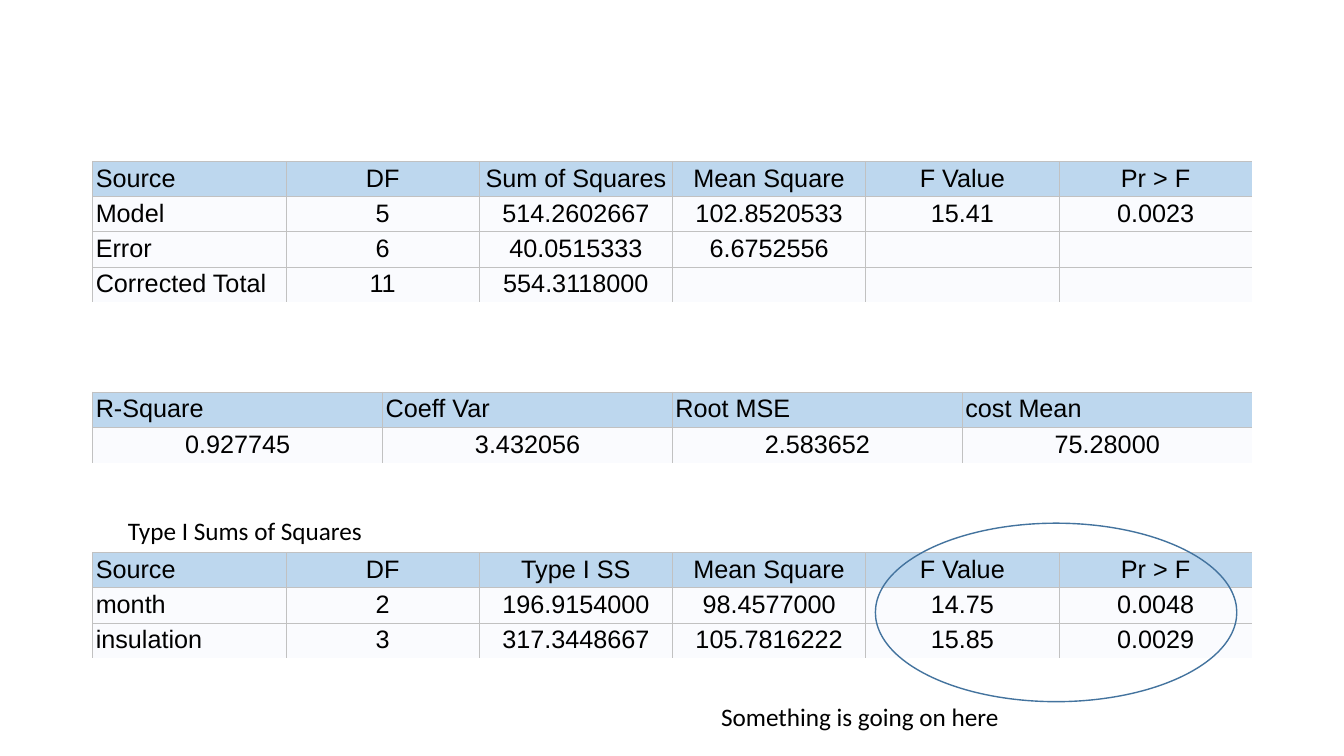
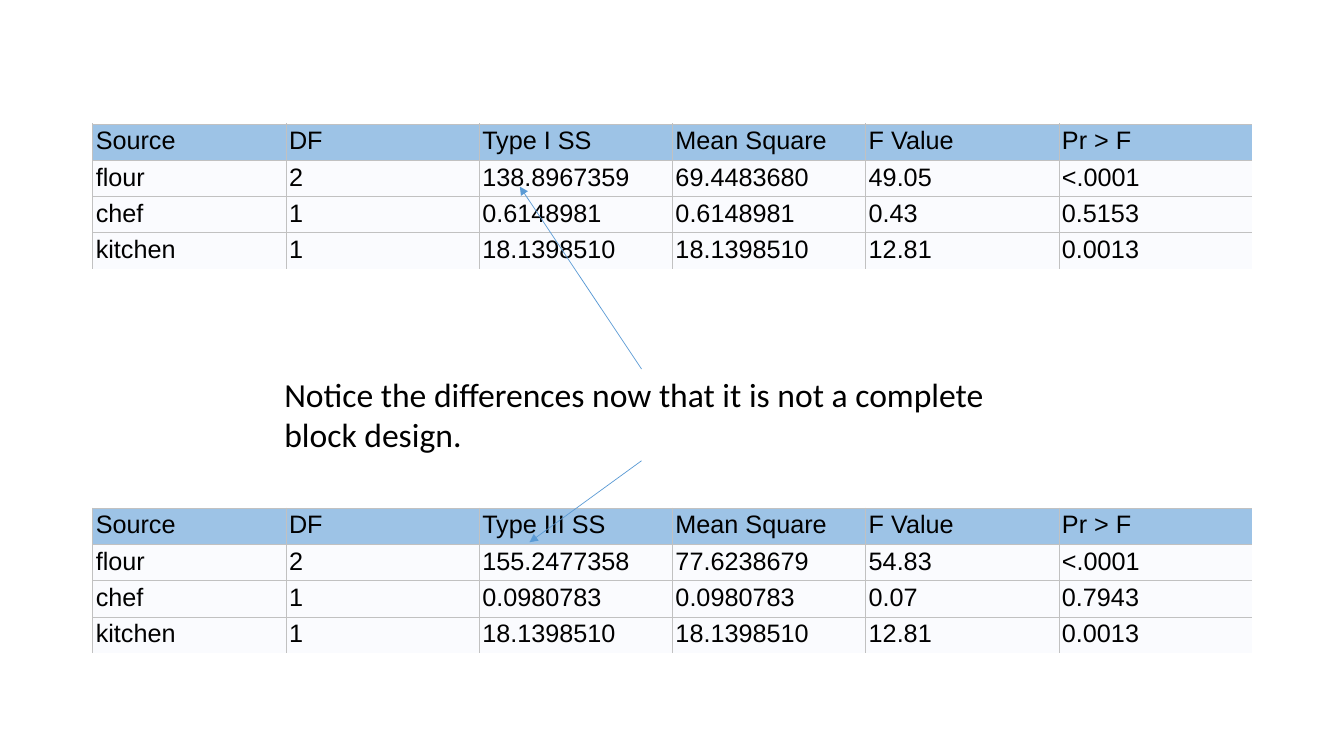
"""Build two slides of analysis-of-variance tables with short remarks."""
from lxml import etree
from pptx import Presentation
from pptx.dml.color import RGBColor
from pptx.enum.shapes import MSO_CONNECTOR, MSO_SHAPE
from pptx.enum.text import MSO_AUTO_SIZE, PP_ALIGN
from pptx.oxml.ns import qn
from pptx.util import Inches, Pt

LEFT_ALIGN, CENTER = PP_ALIGN.LEFT, PP_ALIGN.CENTER
STRAIGHT, ELLIPSE = MSO_CONNECTOR.STRAIGHT, MSO_SHAPE.OVAL
GROW = MSO_AUTO_SIZE.SHAPE_TO_FIT_TEXT
TOP, BOTTOM = 0, 2

COLOURS = {
    "text": "000000",
    "light header": "BDD7EE",
    "dark header": "9DC3E6",
    "body": "FAFBFE",
    "border": "C1C1C1",
    "ellipse": "43739E",
    "arrow": "5B9BD5",
}
RGB = {role: RGBColor.from_string(code) for role, code in COLOURS.items()}

prs = Presentation()
prs.slide_width, prs.slide_height = Inches(13.33), Inches(7.5)
BLANK = prs.slide_layouts[6]
LEFT, GRID_WIDTH = Inches(0.92), Inches(11.5)
COL, ROW = GRID_WIDTH / 6, Inches(0.35)
INSET = Inches(0.03)


def add_results(slide, top, rows, header, is_centered):
    """Add a full-width table whose top is given in grid rows."""
    n_rows, n_cols = len(rows), len(rows[0])
    table = slide.shapes.add_table(
        n_rows, n_cols, LEFT, int(top * ROW), GRID_WIDTH, n_rows * ROW).table
    table.first_row = table.horz_banding = False
    for r, values in enumerate(rows):
        table.rows[r].height = ROW
        for c, value in enumerate(values):
            cell = table.cell(r, c)
            cell.margin_left = cell.margin_right = INSET
            cell.margin_top = cell.margin_bottom = INSET
            cell.text = value
            paragraph = cell.text_frame.paragraphs[0]
            paragraph.alignment = CENTER if is_centered(r, c) else LEFT_ALIGN
            paragraph.font.name, paragraph.font.size = "Arial", Pt(18)
            paragraph.font.color.rgb = RGB["text"]
            drawn = {"L": True, "R": c < n_cols - 1, "T": True, "B": r < n_rows - 1}
            properties = cell._tc.get_or_add_tcPr()
            for side, is_drawn in drawn.items():
                border = etree.SubElement(properties, qn(f"a:ln{side}"), w=str(Pt(0.5)))
                if is_drawn:
                    fill = etree.SubElement(border, qn("a:solidFill"))
                    etree.SubElement(fill, qn("a:srgbClr"), val=COLOURS["border"])
                else:
                    etree.SubElement(border, qn("a:noFill"))
            cell.fill.solid()
            cell.fill.fore_color.rgb = RGB["body" if r else header]


def add_remark(slide, col, row, width, height, lines, size):
    """Add unwrapped text placed in grid columns and rows."""
    remark = slide.shapes.add_textbox(
        int(LEFT + col * COL), int(row * ROW), int(width * COL), int(height * ROW))
    frame = remark.text_frame
    frame.word_wrap = False
    frame.auto_size = GROW
    frame.text = "\n".join(lines)
    for paragraph in frame.paragraphs:
        paragraph.font.name, paragraph.font.size = "Calibri", Pt(size)
        paragraph.font.color.rgb = RGB["text"]
    return remark


model_fit = [
    ("Source", "DF", "Sum of Squares", "Mean Square", "F Value", "Pr > F"),
    ("Model", "5", "514.2602667", "102.8520533", "15.41", "0.0023"),
    ("Error", "6", "40.0515333", "6.6752556", "", ""),
    ("Corrected Total", "11", "554.3118000", "", "", ""),
]
fit_statistics = [
    ("R-Square", "Coeff Var", "Root MSE", "cost Mean"),
    ("0.927745", "3.432056", "2.583652", "75.28000"),
]
cost_effects = [
    ("Source", "DF", "Type I SS", "Mean Square", "F Value", "Pr > F"),
    ("month", "2", "196.9154000", "98.4577000", "14.75", "0.0048"),
    ("insulation", "3", "317.3448667", "105.7816222", "15.85", "0.0029"),
]
type_one_effects = [
    ("Source", "DF", "Type I SS", "Mean Square", "F Value", "Pr > F"),
    ("flour", "2", "138.8967359", "69.4483680", "49.05", "<.0001"),
    ("chef", "1", "0.6148981", "0.6148981", "0.43", "0.5153"),
    ("kitchen", "1", "18.1398510", "18.1398510", "12.81", "0.0013"),
]
type_three_effects = [
    ("Source", "DF", "Type III SS", "Mean Square", "F Value", "Pr > F"),
    ("flour", "2", "155.2477358", "77.6238679", "54.83", "<.0001"),
    ("chef", "1", "0.0980783", "0.0980783", "0.07", "0.7943"),
    ("kitchen", "1", "18.1398510", "18.1398510", "12.81", "0.0013"),
]

cost_slide = prs.slides.add_slide(BLANK)
for top, rows, is_centered in (
    (4.57, model_fit, lambda r, c: c > 0),
    (11.11, fit_statistics, lambda r, c: r > 0),
    (15.66, cost_effects, lambda r, c: c > 0),
):
    add_results(cost_slide, top, rows, "light header", is_centered)

significance = cost_slide.shapes.add_shape(
    ELLIPSE, int(LEFT + 4.05 * COL), int(14.83 * ROW), int(1.87 * COL), int(5.06 * ROW))
significance.shadow.inherit = False
significance.fill.background()
significance.line.color.rgb = RGB["ellipse"]
significance.line.width = Pt(1)
add_remark(cost_slide, 3.2, 19.74, 1.56, 1.14, ["Something is going on here"], 18)
add_remark(cost_slide, 0.13, 14.46, 1.33, 1.14, ["Type I Sums of Squares"], 18)

kitchen_slide = prs.slides.add_slide(BLANK)
for top, rows in ((3.51, type_one_effects), (14.4, type_three_effects)):
    add_results(kitchen_slide, top, rows, "dark header", lambda r, c: False)

difference = add_remark(
    kitchen_slide, 0.94, 10.46, 3.8, 2.6,
    ["Notice the differences now that it is not a complete", "block design."], 24)
for side, col, row in ((TOP, 2.21, 5.29), (BOTTOM, 2.26, 15.37)):
    arrow = kitchen_slide.shapes.add_connector(
        STRAIGHT, 0, 0, int(LEFT + col * COL), int(row * ROW))
    arrow.begin_connect(difference, side)
    arrow.line.color.rgb = RGB["arrow"]
    arrow.line.width = Pt(0.5)
    etree.SubElement(arrow.line._get_or_add_ln(), qn("a:tailEnd"), type="triangle")
    etree.SubElement(arrow._element.spPr, qn("a:effectLst"))

prs.save("out.pptx")
